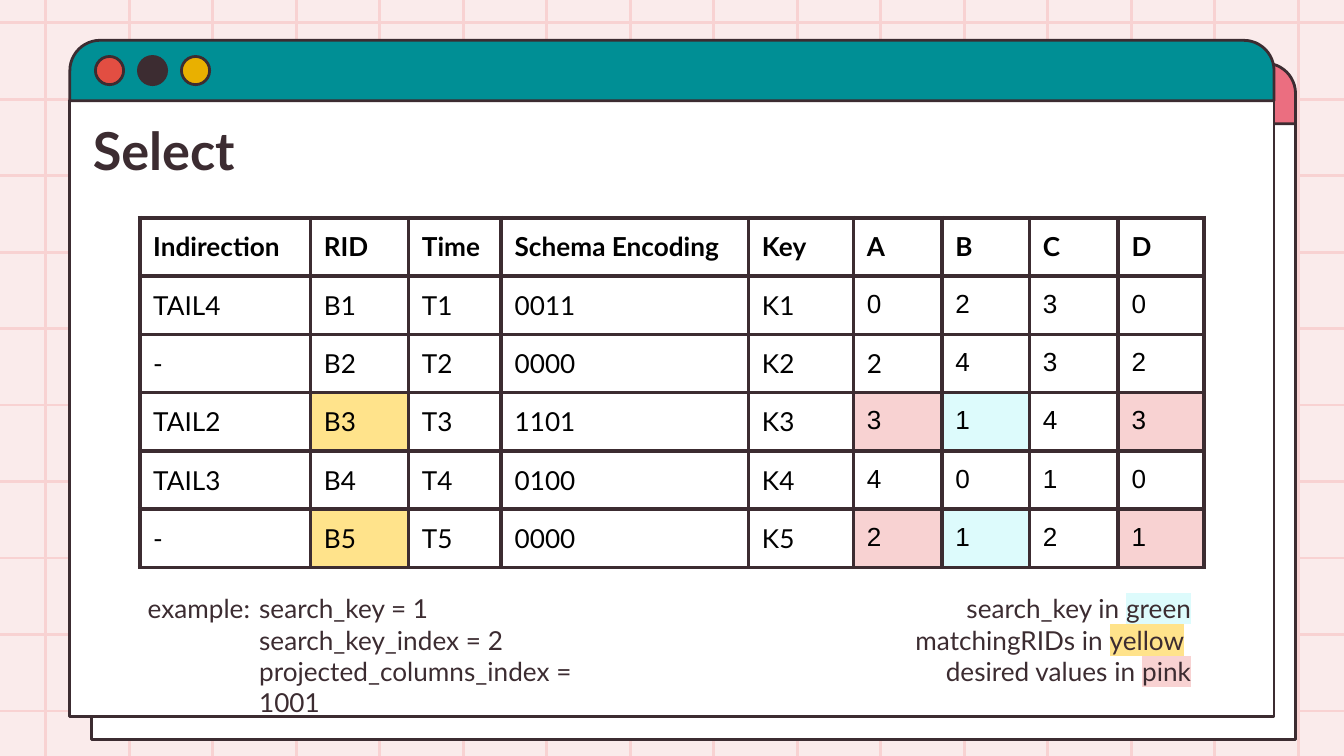
from lxml import etree
from pptx import Presentation
from pptx.dml.color import RGBColor
from pptx.enum.shapes import MSO_CONNECTOR, MSO_SHAPE
from pptx.enum.text import MSO_ANCHOR, MSO_AUTO_SIZE, PP_ALIGN
from pptx.oxml.ns import qn
from pptx.util import Inches, Pt

RECT = MSO_SHAPE.RECTANGLE
BAR = MSO_SHAPE.ROUND_2_SAME_RECTANGLE
OVAL = MSO_SHAPE.OVAL
STRAIGHT = MSO_CONNECTOR.STRAIGHT
TOP = MSO_ANCHOR.TOP
LEFT, RIGHT = PP_ALIGN.LEFT, PP_ALIGN.RIGHT
NO_FIT = MSO_AUTO_SIZE.NONE

COLORS = {
    "paper": "FAEBEB", "pink": "F8D2D2", "ink": "3C2C31", "white": "FFFFFF",
    "rose": "EB6E80", "teal": "008F95", "red": "E24E42", "amber": "E9B000",
    "yellow": "FFE38B", "green": "DDFBFC", "black": "000000",
}


def style(r, color="ink", size=14, font="Lato", bold=False):
    r.font.name, r.font.size, r.font.bold = font, Pt(size), bold
    r.font.color.rgb = RGBColor.from_string(COLORS[color])


def panel(kind, x, y, w, h, fill):
    sp = s.shapes.add_shape(kind, Inches(x), Inches(y), Inches(w), Inches(h))
    sp.shadow.inherit = False
    sp.fill.solid()
    sp.fill.fore_color.rgb = RGBColor.from_string(COLORS[fill])
    sp.line.color.rgb = RGBColor.from_string(COLORS["ink"])
    sp.line.width = Pt(1.5)
    return sp


prs = Presentation()
prs.slide_width = Inches(10)
prs.slide_height = Inches(10 * 9 / 16)
s = prs.slides.add_slide(prs.slide_layouts[5])
s.background.fill.solid()
s.background.fill.fore_color.rgb = RGBColor.from_string(COLORS["paper"])

xs = [0.34 + (9.66 - 0.34) / 15 * i for i in range(16)]
ys = [0.17 + (5.29 - 0.17) / 9 * i for i in range(10)]
grid = [(x, 5.82, x, -0.36) for x in xs] + [(-0.22, y, 10.22, y) for y in ys]
for ends in grid:
    line = s.shapes.add_connector(STRAIGHT, *[Inches(v) for v in ends])
    line.line.color.rgb = RGBColor.from_string(COLORS["pink"])
    line.line.width = Pt(1.5)
    etree.SubElement(line.element.spPr, qn("a:effectLst"))

for x, y, bar_color in [(0.68, 0.47, "rose"), (0.52, 0.3, "teal")]:
    panel(RECT, x, y + 0.45, 8.96, 4.58, "white")
    bar = panel(BAR, x, y, 8.96, 0.45, bar_color)
    bar.adjustments[0] = 0.5
    for i, dot_color in enumerate(["red", "ink", "amber"]):
        panel(OVAL, x + 0.19 + 0.32 * i, y + 0.12, 0.21, 0.21, dot_color)

title = s.shapes.title
title.element.getparent().append(title.element)
title.left, title.top = Inches(0.59), Inches(0.78)
title.width, title.height = Inches(3.86), Inches(0.53)
tf = title.text_frame
tf.text = "Select"
tf.auto_size, tf.vertical_anchor = NO_FIT, TOP
tf.margin_left = tf.margin_right = tf.margin_top = tf.margin_bottom = Inches(0.1)
tf.paragraphs[0].alignment = LEFT
style(tf.paragraphs[0].runs[0], size=28, bold=True)

rows = [
    ["Indirection", "RID", "Time", "Schema Encoding", "Key", "A", "B", "C", "D"],
    ["TAIL4", "B1", "T1", "0011", "K1", "0", "2", "3", "0"],
    ["-", "B2", "T2", "0000", "K2", "2", "4", "3", "2"],
    ["TAIL2", "B3", "T3", "1101", "K3", "3", "1", "4", "3"],
    ["TAIL3", "B4", "T4", "0100", "K4", "4", "0", "1", "0"],
    ["-", "B5", "T5", "0000", "K5", "2", "1", "2", "1"],
]
widths = [1.27, 0.73, 0.69, 1.84, 0.78, 0.66, 0.65, 0.66, 0.64]
match_rows = (3, 5)
match_fills = {1: "yellow", 5: "pink", 6: "green", 8: "pink"}
lato_digits = [(2, 5)]

table = s.shapes.add_table(len(rows), len(widths), Inches(1.04), Inches(1.62),
                           Inches(sum(widths)), Inches(0.43 * len(rows))).table
table.first_row = table.horz_banding = False
for col, width in zip(table.columns, widths):
    col.width = Inches(width)
for i, row in enumerate(rows):
    table.rows[i].height = Inches(0.43)
    for j, text in enumerate(row):
        cell = table.cell(i, j)
        cell.text = text
        cell.margin_left = cell.margin_right = Inches(0.1)
        cell.margin_top = cell.margin_bottom = Inches(0.1)
        arial = i > 0 and j > 4 and (i, j) not in lato_digits
        style(cell.text_frame.paragraphs[0].runs[0], "black",
              font="Arial" if arial else "Lato", bold=i == 0)
        tc_pr = cell._tc.get_or_add_tcPr()
        for side in ("a:lnL", "a:lnR", "a:lnT", "a:lnB"):
            ln = etree.SubElement(tc_pr, qn(side), w=str(Pt(2.25)))
            fill = etree.SubElement(ln, qn("a:solidFill"))
            etree.SubElement(fill, qn("a:srgbClr"), val=COLORS["ink"])
        if i in match_rows and j in match_fills:
            cell.fill.solid()
            cell.fill.fore_color.rgb = RGBColor.from_string(COLORS[match_fills[j]])
        else:
            cell.fill.background()

notes = [
    (1.83, 2.99, 0.91, LEFT, [
        [("search_key = 1", None)],
        [("search_key_index = 2", None)],
        [("projected_columns_index = 1001", None)]]),
    (6.19, 2.77, 0.91, RIGHT, [
        [("search_key in ", None), ("green", "green")],
        [("matchingRIDs in ", None), ("yellow", "yellow"), (" ", None)],
        [("desired values in ", None), ("pink", "pink")]]),
    (1, 0.99, 0.44, LEFT, [[("example:", None)]]),
]
for x, w, h, align, lines in notes:
    tf = s.shapes.add_textbox(Inches(x), Inches(4.31), Inches(w), Inches(h)).text_frame
    tf.word_wrap = True
    tf.margin_left = tf.margin_right = tf.margin_top = tf.margin_bottom = Inches(0.1)
    for i, parts in enumerate(lines):
        p = tf.add_paragraph() if i else tf.paragraphs[0]
        p.alignment = align
        for text, highlight in parts:
            r = p.add_run()
            r.text = text
            style(r)
            if highlight:
                mark = etree.Element(qn("a:highlight"))
                etree.SubElement(mark, qn("a:srgbClr"), val=COLORS[highlight])
                r.font._element.find(qn("a:solidFill")).addnext(mark)

prs.save("out.pptx")
